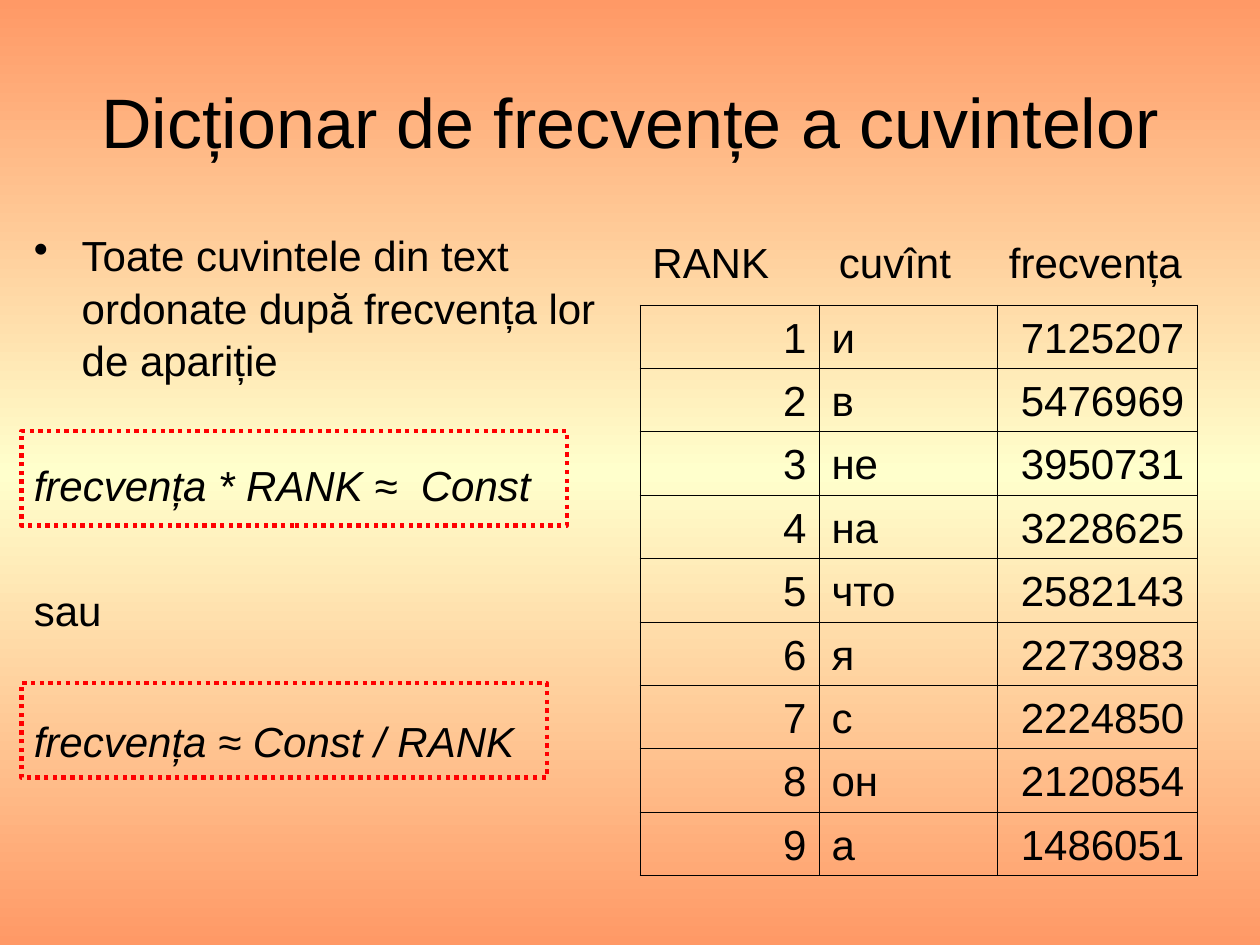
from copy import deepcopy
from dataclasses import dataclass, field

from lxml.etree import SubElement
from pptx import Presentation
from pptx.dml.color import RGBColor
from pptx.enum.dml import MSO_LINE
from pptx.enum.shapes import MSO_SHAPE
from pptx.enum.text import MSO_ANCHOR, PP_ALIGN
from pptx.oxml.ns import qn
from pptx.util import Inches, Pt

BLACK = "000000"
RED = "FF0000"
ORANGE = "FF9966"
CREAM = "FFFFCC"


@dataclass
class Para:
    text: str
    font: dict = field(default_factory=dict)
    form: dict = field(default_factory=dict)
    bullet: bool = False
    tabs: tuple = ()


@dataclass
class Box:
    left: float
    top: float
    width: float
    height: float

    def place(self) -> list:
        return [Inches(v) for v in (self.left, self.top, self.width, self.height)]


def color(code: str) -> RGBColor:
    return RGBColor.from_string(code)


def apply(target, values: dict) -> None:
    for name, value in values.items():
        setattr(target, name, value)


def write(frame, paras: list) -> None:
    for i, item in enumerate(paras):
        para = frame.paragraphs[0] if i == 0 else frame.add_paragraph()
        apply(para, item.form)
        run = para.add_run()
        run.text = item.text
        apply(run.font, {"name": "Arial", "size": Pt(24)} | item.font)
        run.font.color.rgb = color(BLACK)
        props = para._p.get_or_add_pPr()
        if item.bullet:
            props.set("marL", str(Inches(0.38)))
            props.set("indent", str(Inches(-0.38)))
            SubElement(props, qn("a:buChar"), char="•")
        if item.tabs:
            stops = SubElement(props, qn("a:tabLst"))
            for stop in item.tabs:
                SubElement(stops, qn("a:tab"), pos=str(Inches(stop)), algn="l")


def label(slide, box: Box, paras: list, **form) -> None:
    frame = slide.shapes.add_textbox(*box.place()).text_frame
    apply(frame, {"word_wrap": True} | form)
    write(frame, paras)


def border(cell) -> None:
    props = cell._tc.get_or_add_tcPr()
    for i, side in enumerate(("lnL", "lnR", "lnT", "lnB")):
        line = SubElement(props, qn(f"a:{side}"), w=str(Pt(0.45)))
        fill = SubElement(line, qn("a:solidFill"))
        SubElement(fill, qn("a:srgbClr"), val=BLACK)
        props.insert(i, line)


def outline(slide, box: Box) -> None:
    shape = slide.shapes.add_shape(MSO_SHAPE.RECTANGLE, *box.place())
    shape.shadow.inherit = False
    shape.fill.background()
    shape.line.color.rgb = color(RED)
    apply(shape.line, {"width": Pt(2.5), "dash_style": MSO_LINE.ROUND_DOT})


def backdrop(slide) -> None:
    fill = slide.background.fill
    fill.gradient()
    fill.gradient_angle = 270
    stops = slide.element.find(".//" + qn("a:gsLst"))
    stops.insert(1, deepcopy(stops[0]))
    for stop, spot, code in zip(fill.gradient_stops, (0, 0.5, 1), (ORANGE, CREAM, ORANGE)):
        stop.position = spot
        stop.color.rgb = color(code)


def ranking(slide, box: Box, words: list) -> None:
    table = slide.shapes.add_table(len(words), 3, *box.place()).table
    apply(table, {"first_row": False, "horz_banding": False})
    for col, width in zip(table.columns, (1.42, 1.42, 1.58)):
        col.width = Inches(width)
    sides = (PP_ALIGN.RIGHT, PP_ALIGN.LEFT, PP_ALIGN.RIGHT)
    for rank, (word, count) in enumerate(words, 1):
        cells = table.rows[rank - 1].cells
        for cell, text, side in zip(cells, (rank, word, count), sides):
            cell.vertical_anchor = MSO_ANCHOR.BOTTOM
            cell.fill.background()
            border(cell)
            write(cell.text_frame, [Para(str(text), form={"alignment": side})])


WORDS = [
    ("и", 7125207),
    ("в", 5476969),
    ("не", 3950731),
    ("на", 3228625),
    ("что", 2582143),
    ("я", 2273983),
    ("с", 2224850),
    ("он", 2120854),
    ("а", 1486051),
]
LINE = {"line_spacing": 1.05}
GAP = LINE | {"space_before": Pt(41)}
LAST = LINE | {"space_before": Pt(45)}
SLANT = {"italic": True}

deck = Presentation()
apply(deck, {"slide_width": Inches(10), "slide_height": Inches(7.5)})
slide = deck.slides.add_slide(deck.slide_layouts[6])
backdrop(slide)
label(
    slide,
    Box(0.5, 0.33, 9, 1.25),
    [Para("Dicționar de frecvențe a cuvintelor", {"size": Pt(40)}, {"alignment": PP_ALIGN.CENTER})],
    vertical_anchor=MSO_ANCHOR.MIDDLE,
)
label(
    slide,
    Box(0.17, 1.75, 4.75, 4.95),
    [
        Para("Toate cuvintele din text ordonate după frecvența lor de apariție", form=LINE, bullet=True),
        Para("frecvența * RANK ≈  Const", SLANT, GAP),
        Para("sau", form=GAP),
        Para("frecvența ≈ Const / RANK", SLANT, LAST),
    ],
)
ranking(slide, Box(5.08, 2.42, 4.42, 4.53), WORDS)
label(slide, Box(5.08, 1.83, 4.67, 0.5), [Para("RANK\tcuvînt\tfrecvența", tabs=(1.48, 2.83))])
for top, width in ((3.42, 4.33), (5.42, 4.17)):
    outline(slide, Box(0.17, top, width, 0.75))
deck.save("out.pptx")
